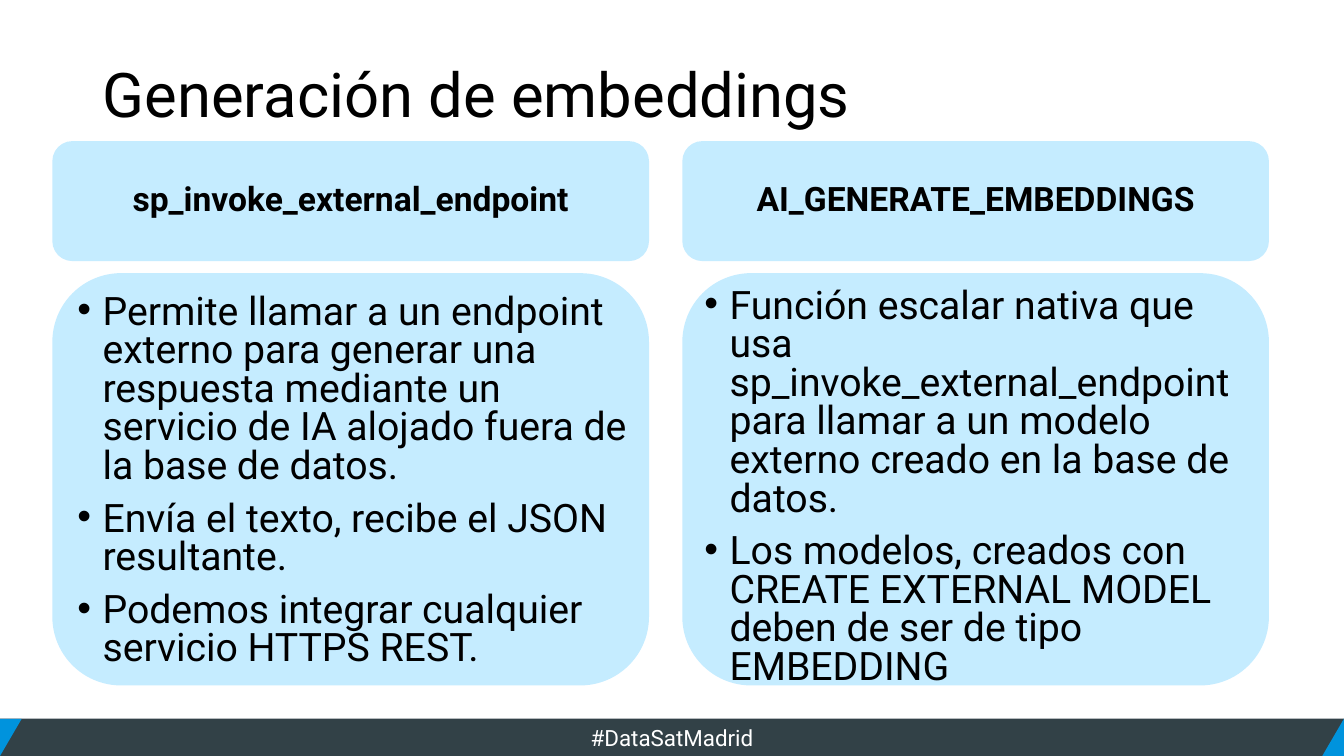
from dataclasses import dataclass

from lxml.etree import SubElement
from pptx import Presentation
from pptx.dml.color import RGBColor
from pptx.enum.shapes import MSO_SHAPE
from pptx.enum.text import MSO_ANCHOR, PP_ALIGN
from pptx.oxml.ns import qn
from pptx.shapes.autoshape import Shape
from pptx.slide import Slide
from pptx.text.text import _Paragraph as Paragraph
from pptx.util import Pt


@dataclass(frozen=True)
class Theme:
    font: str = "Roboto"
    text: RGBColor = RGBColor(0x00, 0x00, 0x00)
    card: RGBColor = RGBColor(0xC5, 0xEC, 0xFF)
    footer: RGBColor = RGBColor(0x32, 0x41, 0x47)
    footer_text: RGBColor = RGBColor(0xFF, 0xFF, 0xFF)
    accent: RGBColor = RGBColor(0x00, 0x93, 0xDD)
    title_size: float = 44
    heading_size: float = 24
    body_size: float = 28
    footer_size: float = 16


@dataclass(frozen=True)
class Box:
    left: float
    top: float
    width: float
    height: float

    def lengths(self) -> tuple[Pt, Pt, Pt, Pt]:
        return Pt(self.left), Pt(self.top), Pt(self.width), Pt(self.height)


@dataclass(frozen=True)
class Column:
    left: float
    width: float
    heading: str
    bullets: tuple[str, ...]
    bullet_box: Box


THEME = Theme()
SLIDE_WIDTH, SLIDE_HEIGHT = 960, 540
TITLE_BOX = Box(66.2, 28.8, 828, 81.4)
HEADING_TOP, HEADING_HEIGHT = 100.8, 85.7
BODY_TOP, BODY_HEIGHT = 195.1, 294.5
FOOTER_HEIGHT = 26.6
FOOTER_TOP = SLIDE_HEIGHT - FOOTER_HEIGHT
CORNER_WIDTH = 31
HASHTAG_WIDTH = 311
BULLET_INDENT = 18

COLUMNS = (
    Column(
        37.4, 426.2, "sp_invoke_external_endpoint",
        (
            "Permite llamar a un endpoint externo para generar una respuesta "
            "mediante un servicio de IA alojado fuera de la base de datos.",
            "Envía el texto, recibe el JSON resultante.",
            "Podemos integrar cualquier servicio HTTPS REST.",
        ),
        Box(48.2, 206.6, 411.8, 280.8),
    ),
    Column(
        487.4, 419, "AI_GENERATE_EMBEDDINGS",
        (
            "Función escalar nativa que usa sp_invoke_external_endpoint para "
            "llamar a un modelo externo creado en la base de datos.",
            "Los modelos, creados con CREATE EXTERNAL MODEL deben de ser de tipo EMBEDDING",
        ),
        Box(496.1, 202.3, 414, 280.8),
    ),
)


def add_plain_shape(slide: Slide, kind: MSO_SHAPE, box: Box, color: RGBColor) -> Shape:
    shape = slide.shapes.add_shape(kind, *box.lengths())
    shape.shadow.inherit = False
    shape.fill.solid()
    shape.fill.fore_color.rgb = color
    shape.line.fill.background()
    return shape


def format_paragraph(paragraph: Paragraph, size: float, color: RGBColor = THEME.text,
                     align: PP_ALIGN = PP_ALIGN.LEFT, spacing: float = 0.9,
                     bold: bool = False) -> None:
    paragraph.alignment = align
    paragraph.line_spacing = spacing
    font = paragraph.font
    font.name, font.size, font.bold = THEME.font, Pt(size), bold
    font.color.rgb = color


def add_bullet(paragraph: Paragraph) -> None:
    properties = paragraph._p.get_or_add_pPr()
    properties.set("marL", str(Pt(BULLET_INDENT)))
    properties.set("indent", str(-Pt(BULLET_INDENT)))
    SubElement(properties, qn("a:buFont"), typeface="Arial")
    SubElement(properties, qn("a:buChar"), char="•")


def add_title(slide: Slide, text: str) -> None:
    title = slide.shapes.title
    title.left, title.top, title.width, title.height = TITLE_BOX.lengths()
    title.text_frame.text = text
    title.text_frame.vertical_anchor = MSO_ANCHOR.MIDDLE
    format_paragraph(title.text_frame.paragraphs[0], THEME.title_size)


def add_column(slide: Slide, column: Column) -> None:
    heading_box = Box(column.left, HEADING_TOP, column.width, HEADING_HEIGHT)
    heading = add_plain_shape(slide, MSO_SHAPE.ROUNDED_RECTANGLE, heading_box, THEME.card)
    heading.text_frame.text = column.heading
    heading.text_frame.vertical_anchor = MSO_ANCHOR.MIDDLE
    format_paragraph(heading.text_frame.paragraphs[0], THEME.heading_size,
                     align=PP_ALIGN.CENTER, bold=True)

    body_box = Box(column.left, BODY_TOP, column.width, BODY_HEIGHT)
    add_plain_shape(slide, MSO_SHAPE.ROUNDED_RECTANGLE, body_box, THEME.card)

    frame = slide.shapes.add_textbox(*column.bullet_box.lengths()).text_frame
    frame.word_wrap = True
    for index, text in enumerate(column.bullets):
        paragraph = frame.add_paragraph() if index else frame.paragraphs[0]
        paragraph.text = text
        add_bullet(paragraph)
        format_paragraph(paragraph, THEME.body_size, spacing=0.82)
        if index:
            paragraph.space_before = Pt(10)


def add_footer(slide: Slide, hashtag: str) -> None:
    bar = Box(0, FOOTER_TOP, SLIDE_WIDTH, FOOTER_HEIGHT)
    add_plain_shape(slide, MSO_SHAPE.RECTANGLE, bar, THEME.footer)
    for center, rotation in ((0, 180), (SLIDE_WIDTH, 0)):
        corner_box = Box(center - CORNER_WIDTH / 2, FOOTER_TOP, CORNER_WIDTH, FOOTER_HEIGHT)
        corner = add_plain_shape(slide, MSO_SHAPE.ISOSCELES_TRIANGLE, corner_box, THEME.accent)
        corner.rotation = rotation

    hashtag_box = Box((SLIDE_WIDTH - HASHTAG_WIDTH) / 2, FOOTER_TOP,
                      HASHTAG_WIDTH, FOOTER_HEIGHT)
    frame = slide.shapes.add_textbox(*hashtag_box.lengths()).text_frame
    frame.word_wrap = True
    frame.text = hashtag
    format_paragraph(frame.paragraphs[0], THEME.footer_size, THEME.footer_text,
                     PP_ALIGN.CENTER, spacing=1.0)


def main() -> None:
    presentation = Presentation()
    presentation.slide_width, presentation.slide_height = Pt(SLIDE_WIDTH), Pt(SLIDE_HEIGHT)
    slide = presentation.slides.add_slide(presentation.slide_layouts[5])
    add_footer(slide, "#DataSatMadrid")
    add_title(slide, "Generación de embeddings")
    for column in COLUMNS:
        add_column(slide, column)
    presentation.save("out.pptx")


if __name__ == "__main__":
    main()
